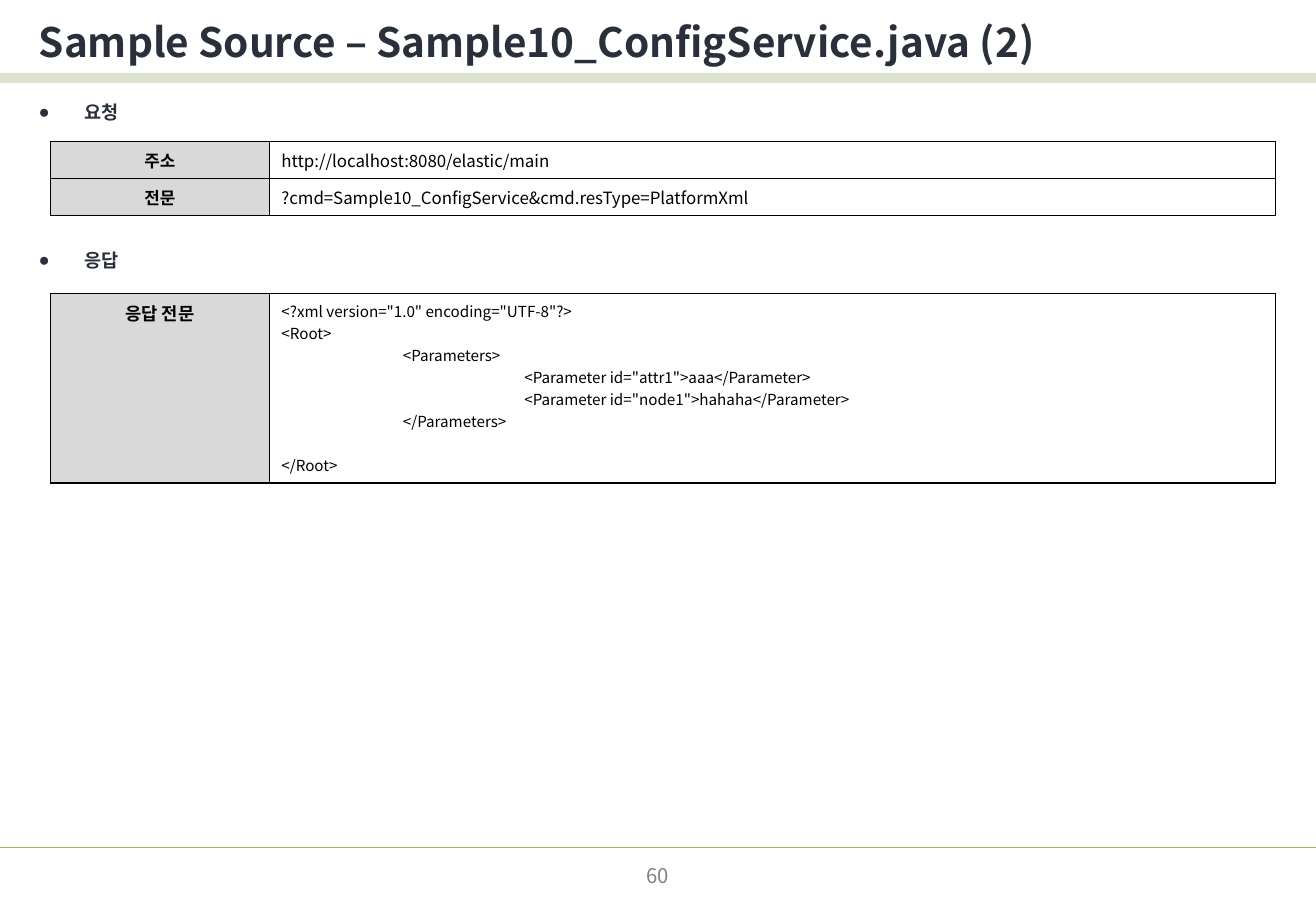
from dataclasses import dataclass
from lxml.etree import SubElement
from pptx import Presentation
from pptx.dml.color import RGBColor
from pptx.enum.shapes import MSO_CONNECTOR, MSO_SHAPE
from pptx.enum.text import MSO_ANCHOR, PP_ALIGN
from pptx.oxml.ns import qn
from pptx.util import Inches, Pt


@dataclass(frozen=True)
class Theme:
    ink: str = "29303B"
    text: str = "000000"
    label: str = "D9D9D9"
    bar: str = "77933C"
    rule: str = "98B955"
    page: str = "808080"
    sans: str = "Noto Sans CJK KR"
    head: str = "Arial"
    title: float = 24
    item: float = 11
    note: float = 12
    cell: float = 10
    reply: float = 10.5
    code: float = 9


THEME = Theme()
COLS, ROWS = 130, 90
LABEL, VALUE = 21.6, 99.4


def grid(*cells):
    return [Inches(cell / 12) for cell in cells]


def color(code):
    return RGBColor.from_string(code)


def write(frame, text, size, font=THEME.sans, ink=THEME.text, bold=False,
          align=PP_ALIGN.LEFT, before=0, level=0, bullet=False, first=True):
    para = frame.paragraphs[0] if first else frame.add_paragraph()
    para.alignment = align
    para.space_before = Pt(before)
    props = para._p.get_or_add_pPr()
    if level:
        props.set("marL", str(Inches(level)))
    if bullet:
        props.set("marL", str(Inches(0.38)))
        props.set("indent", str(-Inches(0.38)))
        SubElement(props, qn("a:buFont"), typeface=THEME.head)
        SubElement(props, qn("a:buChar"), char="●")
    run = para.add_run()
    run.text = text
    run.font.name = font
    run.font.size = Pt(size)
    run.font.bold = bold
    run.font.color.rgb = color(ink)
    SubElement(run._r.get_or_add_rPr(), qn("a:ea"), typeface=THEME.sans)


def add_box(slide, place, anchor=MSO_ANCHOR.MIDDLE):
    frame = slide.shapes.add_textbox(*grid(*place)).text_frame
    frame.word_wrap = True
    frame.vertical_anchor = anchor
    return frame


def add_bar(slide, place):
    bar = slide.shapes.add_shape(MSO_SHAPE.RECTANGLE, *grid(*place))
    bar.shadow.inherit = False
    bar.line.fill.background()
    bar.fill.solid()
    bar.fill.fore_color.rgb = color(THEME.bar)
    tint = bar._element.spPr.find(".//" + qn("a:srgbClr"))
    SubElement(tint, qn("a:alpha"), val="25000")


def add_rule(slide, row):
    line = slide.shapes.add_connector(
        MSO_CONNECTOR.STRAIGHT, *grid(0, row, COLS, row))
    line.line.color.rgb = color(THEME.rule)
    line.line.width = Pt(0.75)
    SubElement(line._element.spPr, qn("a:effectLst"))


def style_cell(cell, fill=None):
    props = cell._tc.get_or_add_tcPr()
    for side in ("lnL", "lnR", "lnT", "lnB"):
        edge = SubElement(props, qn("a:" + side), w=str(Pt(1)))
        paint = SubElement(edge, qn("a:solidFill"))
        SubElement(paint, qn("a:srgbClr"), val=THEME.text)
    if fill:
        cell.fill.solid()
        cell.fill.fore_color.rgb = color(fill)
    else:
        cell.fill.background()


def add_grid(slide, top, height, pairs, size, code):
    place = grid(5, top, LABEL + VALUE, height * len(pairs))
    table = slide.shapes.add_table(len(pairs), 2, *place).table
    table.first_row = table.horz_banding = False
    for column, width in zip(table.columns, grid(LABEL, VALUE)):
        column.width = width
    for row, (label, lines) in enumerate(pairs):
        table.rows[row].height = grid(height)[0]
        name, value = table.cell(row, 0), table.cell(row, 1)
        style_cell(name, THEME.label)
        style_cell(value)
        write(name.text_frame, label, size, font=THEME.head, bold=True,
              align=PP_ALIGN.CENTER)
        for spot, (text, level, before) in enumerate(lines):
            write(value.text_frame, text, code, level=level, before=before,
                  first=spot == 0)


def main():
    deck = Presentation()
    deck.slide_width, deck.slide_height = grid(COLS, ROWS)
    slide = deck.slides.add_slide(deck.slide_layouts[6])

    add_rule(slide, 83.75)
    add_bar(slide, (0, 7.2, COLS, 1))
    write(add_box(slide, (2.65, 1, 127.35, 6.2)),
          "Sample Source – Sample10_ConfigService.java (2)",
          THEME.title, ink=THEME.ink, bold=True)

    body = add_box(slide, (2.65, 9.35, 127.35, 17), MSO_ANCHOR.TOP)
    for spot, text in enumerate(("요청", "응답")):
        write(body, text, THEME.item, font=THEME.head, ink=THEME.ink,
              bold=True, bullet=True, before=75 * spot, first=spot == 0)

    write(add_box(slide, (50, 84.7, 30, 3.5)), "60", THEME.note,
          ink=THEME.page, align=PP_ALIGN.CENTER)

    ask = [
        ("주소", [("http://localhost:8080/elastic/main", 0, 0)]),
        ("전문", [("?cmd=Sample10_ConfigService&cmd.resType=PlatformXml",
                 0, 0)]),
    ]
    reply = [("응답 전문", [
        ('<?xml version="1.0" encoding="UTF-8"?>', 0, 0),
        ("<Root>", 0, 0),
        ("<Parameters>", 1, 0),
        ('<Parameter id="attr1">aaa</Parameter>', 2, 0),
        ('<Parameter id="node1">hahaha</Parameter>', 2, 0),
        ("</Parameters>", 1, 0),
        ("</Root>", 0, 13),
    ])]
    add_grid(slide, 14, 3.65, ask, THEME.cell, THEME.cell)
    add_grid(slide, 29, 18.7, reply, THEME.reply, THEME.code)
    deck.save("out.pptx")


main()
